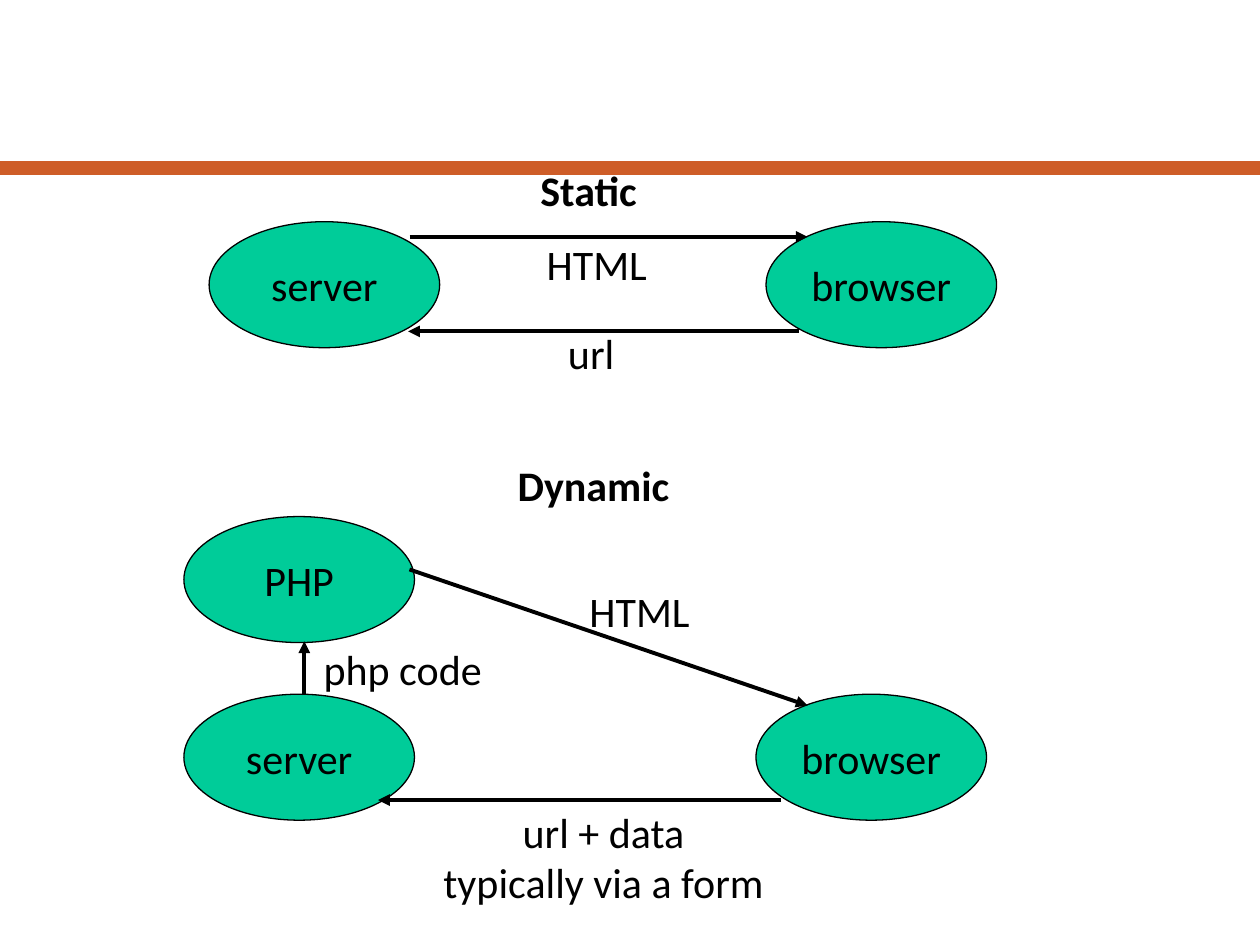
from lxml import etree
from pptx import Presentation
from pptx.dml.color import RGBColor
from pptx.enum.shapes import MSO_CONNECTOR, MSO_SHAPE
from pptx.enum.text import MSO_ANCHOR, MSO_AUTO_SIZE, PP_ALIGN
from pptx.oxml.ns import qn
from pptx.util import Inches, Pt

STRAIGHT = MSO_CONNECTOR.STRAIGHT
OVAL = MSO_SHAPE.OVAL
MIDDLE = MSO_ANCHOR.MIDDLE
GROW = MSO_AUTO_SIZE.SHAPE_TO_FIT_TEXT
LEFT, CENTER = PP_ALIGN.LEFT, PP_ALIGN.CENTER

BLACK = RGBColor(0x00, 0x00, 0x00)
GREEN = RGBColor(0x00, 0xCC, 0x99)
ORANGE = RGBColor(0xCE, 0x5D, 0x28)

# The slide is a grid of 100 columns by 75 rows of square cells.
COLUMNS, ROWS = 100, 75
CELL = Inches(0.1)
NODE_SIZE = (18.3, 10)
LABEL_HEIGHT = 5


def cells(*counts):
    return [round(count * CELL) for count in counts]


def within(box, column, row):
    return box[0] + column, box[1] + row


def write(frame, lines, align, bold=False):
    for index, line in enumerate(lines):
        paragraph = frame.paragraphs[0] if index == 0 else frame.add_paragraph()
        paragraph.alignment = align
        run = paragraph.add_run()
        run.text = line
        run.font.name = "Calibri"
        run.font.size = Pt(24)
        run.font.bold = bold
        run.font.color.rgb = BLACK


def add_line(slide, start, end, color, width):
    line = slide.shapes.add_connector(STRAIGHT, *cells(*start, *end))
    line.line.color.rgb = color
    line.line.width = Pt(width)
    etree.SubElement(line._element.spPr, qn("a:effectLst"))
    return line


def add_arrow(slide, box, start, end):
    arrow = add_line(slide, within(box, *start), within(box, *end), BLACK, 2.25)
    etree.SubElement(arrow.line._get_or_add_ln(), qn("a:tailEnd"), type="triangle")


def add_node(slide, box, name, column, row):
    node = slide.shapes.add_shape(OVAL, *cells(*within(box, column, row), *NODE_SIZE))
    node.shadow.inherit = False
    node.fill.solid()
    node.fill.fore_color.rgb = GREEN
    node.line.color.rgb = BLACK
    node.line.width = Pt(0.75)
    node.text_frame.word_wrap = False
    node.text_frame.vertical_anchor = MIDDLE
    write(node.text_frame, [name], CENTER)


def add_label(slide, box, text, column, row, width, bold=False):
    label = slide.shapes.add_textbox(
        *cells(*within(box, column, row), width, LABEL_HEIGHT))
    label.text_frame.word_wrap = False
    label.text_frame.auto_size = GROW
    write(label.text_frame, [text], LEFT, bold)


def add_caption(slide, box, lines, column, row, width, height):
    """Add a wrapped, centred text of several lines."""
    caption = slide.shapes.add_textbox(
        *cells(*within(box, column, row), width, height))
    caption.text_frame.word_wrap = True
    caption.text_frame.auto_size = GROW
    write(caption.text_frame, lines, CENTER)


def add_static_exchange(slide, box):
    add_node(slide, box, "server", 0, 5)
    add_node(slide, box, "browser", box[2] - NODE_SIZE[0], 5)
    add_arrow(slide, box, (15.9, 6.2), (47.5, 6.2))
    add_arrow(slide, box, (46.8, 13.7), (15.8, 13.7))
    add_label(slide, box, "Static", 25.3, 0, 10, bold=True)
    add_label(slide, box, "HTML", 25.8, 5.8, 10.2)
    add_label(slide, box, "url", 27.5, 12.9, 6)


def add_dynamic_exchange(slide, box):
    server_row = 19.1
    add_node(slide, box, "PHP", 0, 5)
    add_node(slide, box, "browser", box[2] - NODE_SIZE[0], server_row)
    add_node(slide, box, "server", 0, server_row)
    add_arrow(slide, box, (47.4, 27.5), (15.4, 27.5))
    add_arrow(slide, box, (17.9, 9.2), (49.5, 20))
    add_arrow(slide, box, (9.55, 19.2), (9.55, 14.9))
    add_label(slide, box, "Dynamic", 25.5, 0, 14.4, bold=True)
    add_label(slide, box, "php code", 10.1, 14.6, 15.4)
    add_label(slide, box, "HTML", 31.2, 10, 10.3)
    add_caption(slide, box, ["url + data", "typically via a form"],
                17.8, 27.5, 31, 9)


def main():
    deck = Presentation()
    deck.slide_width, deck.slide_height = cells(COLUMNS, ROWS)
    slide = deck.slides.add_slide(deck.slide_layouts[6])
    add_line(slide, (0, 13.3), (COLUMNS, 13.3), ORANGE, 8)
    add_static_exchange(slide, (16.6, 12.6, 62.5, 18))
    add_dynamic_exchange(slide, (14.6, 36, 63.7, 36.5))
    deck.save("out.pptx")


if __name__ == "__main__":
    main()
